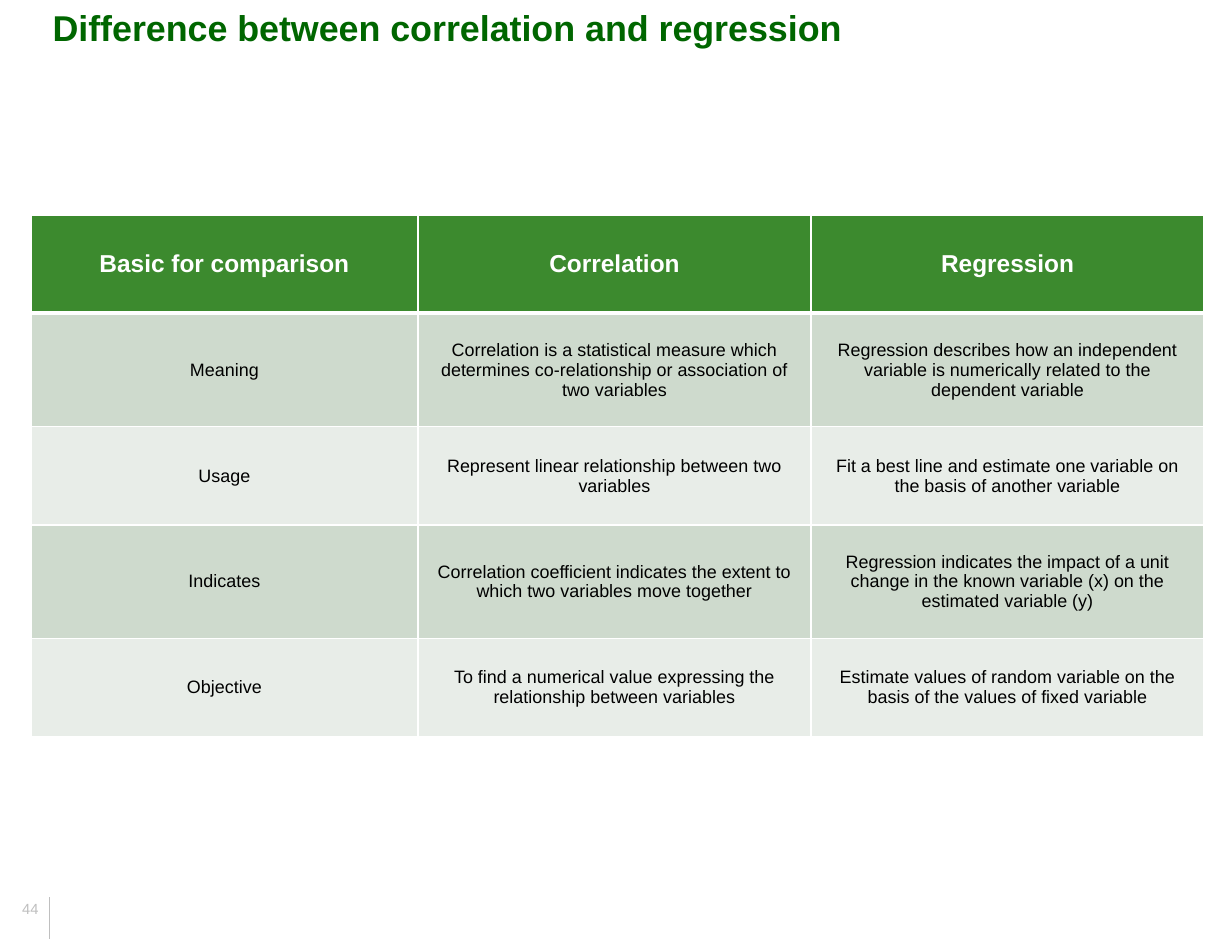
from dataclasses import dataclass

from lxml import etree
from pptx import Presentation
from pptx.dml.color import RGBColor
from pptx.enum import shapes, text
from pptx.oxml import ns
from pptx.util import Pt


@dataclass(frozen=True)
class Theme:
    font: str = "Arial"
    title: str = "006600"
    header: str = "3C8A2E"
    band_dark: str = "CEDACD"
    band_light: str = "E8EDE8"
    white: str = "FFFFFF"
    black: str = "000000"
    muted: str = "BFBFBF"
    title_size: float = 22
    header_size: float = 15
    body_size: float = 11
    number_size: float = 9


@dataclass(frozen=True)
class Style:
    size: float
    color: str
    bold: bool = False


@dataclass(frozen=True)
class Label:
    words: str
    left: float
    top: float
    width: float
    height: float
    style: Style
    anchor: text.MSO_ANCHOR
    inset: float


@dataclass(frozen=True)
class Row:
    cells: tuple[str, str, str]
    height: float
    fill: str
    style: Style
    top_line: float = 1
    bottom_line: float = 1


THEME = Theme()
HEADER = Style(THEME.header_size, THEME.white, True)
BODY = Style(THEME.body_size, THEME.black)

LABELS = [
    Label("44", 5.76, 526.3, 26.64, 40.3,
          Style(THEME.number_size, THEME.muted), text.MSO_ANCHOR.BOTTOM, 7.9),
    Label("Difference between correlation and regression", 25.2, 0, 705.6, 82.8,
          Style(THEME.title_size, THEME.title, True), text.MSO_ANCHOR.TOP, 7.2),
]

COLUMN_WIDTHS = (237.6, 241.2, 241.2)
ROWS = [
    Row(("Basic for comparison", "Correlation", "Regression"),
        60.2, THEME.header, HEADER, bottom_line=3),
    Row(("Meaning",
         "Correlation is a statistical measure which determines "
         "co-relationship or association of two variables",
         "Regression describes how an independent variable is numerically "
         "related to the dependent variable"),
        69.8, THEME.band_dark, BODY, top_line=3),
    Row(("Usage",
         "Represent linear relationship between two variables",
         "Fit a best line and estimate one variable on the basis of another variable"),
        60.2, THEME.band_light, BODY),
    Row(("Indicates",
         "Correlation coefficient indicates the extent to which two variables "
         "move together",
         "Regression indicates the impact of a unit change in the known "
         "variable (x) on the estimated variable (y)"),
        69.8, THEME.band_dark, BODY),
    Row(("Objective",
         "To find a numerical value expressing the relationship between variables",
         "Estimate values of random variable on the basis of the values of "
         "fixed variable"),
        60.2, THEME.band_light, BODY),
]


def rgb(color: str) -> RGBColor:
    return RGBColor.from_string(color)


def format_paragraph(paragraph, style: Style, align: text.PP_ALIGN) -> None:
    paragraph.alignment = align
    for run in paragraph.runs:
        run.font.name = THEME.font
        run.font.size = Pt(style.size)
        run.font.bold = style.bold
        run.font.color.rgb = rgb(style.color)


def add_label(slide, label: Label) -> None:
    frame = slide.shapes.add_textbox(
        Pt(label.left), Pt(label.top), Pt(label.width), Pt(label.height)).text_frame
    frame.word_wrap = True
    frame.vertical_anchor = label.anchor
    frame.margin_left = frame.margin_right = Pt(label.inset)
    frame.text = label.words
    format_paragraph(frame.paragraphs[0], label.style, text.PP_ALIGN.LEFT)


def add_border(cell, side: str, width: float) -> None:
    line = etree.SubElement(cell._tc.get_or_add_tcPr(), ns.qn(f"a:ln{side}"),
                            w=str(Pt(width)))
    fill = etree.SubElement(line, ns.qn("a:solidFill"))
    etree.SubElement(fill, ns.qn("a:srgbClr"), val=THEME.white)


def fill_cell(cell, words: str, row: Row) -> None:
    # Borders come before the fill in the cell properties
    for side, width in (("L", 1), ("R", 1), ("T", row.top_line), ("B", row.bottom_line)):
        add_border(cell, side, width)
    cell.fill.solid()
    cell.fill.fore_color.rgb = rgb(row.fill)
    cell.vertical_anchor = text.MSO_ANCHOR.MIDDLE
    cell.text_frame.text = words
    format_paragraph(cell.text_frame.paragraphs[0], row.style, text.PP_ALIGN.CENTER)


def add_comparison(slide, left: float, top: float) -> None:
    comparison = slide.shapes.add_table(
        len(ROWS), len(COLUMN_WIDTHS), Pt(left), Pt(top),
        Pt(sum(COLUMN_WIDTHS)), Pt(sum(row.height for row in ROWS))).table
    for column, width in zip(comparison.columns, COLUMN_WIDTHS):
        column.width = Pt(width)
    for table_row, row in zip(comparison.rows, ROWS):
        table_row.height = Pt(row.height)
        for cell, words in zip(table_row.cells, row.cells):
            fill_cell(cell, words, row)


def add_divider(slide, x: float, top: float, bottom: float) -> None:
    divider = slide.shapes.add_connector(
        shapes.MSO_CONNECTOR.STRAIGHT, Pt(x), Pt(bottom), Pt(x), Pt(top))
    divider.line.color.rgb = rgb(THEME.muted)
    divider.line.width = Pt(0.5)
    etree.SubElement(divider._element.spPr, ns.qn("a:effectLst"))


def main() -> None:
    deck = Presentation()
    deck.slide_width, deck.slide_height = Pt(756), Pt(576)
    slide = deck.slides.add_slide(deck.slide_layouts[6])

    # Page number divider, then page number and title
    add_divider(slide, 30.24, 550, 577.4)
    for label in LABELS:
        add_label(slide, label)

    # Comparison table
    add_comparison(slide, 18.9, 131.8)

    deck.save("out.pptx")


if __name__ == "__main__":
    main()
